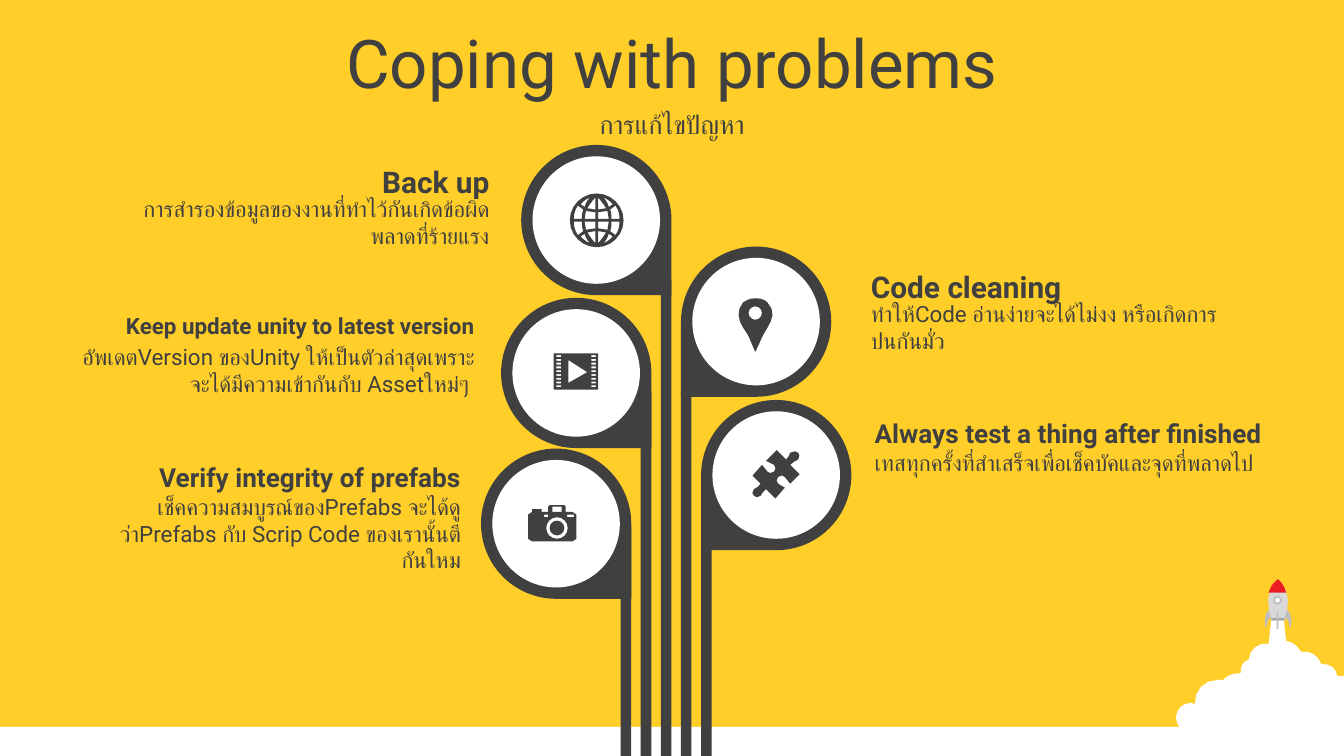
from itertools import product
from math import cos, dist, pi, sin

from pptx import Presentation
from pptx import util as u
from pptx.dml.color import RGBColor
from pptx.enum import shapes, text

DARK, WHITE, YELLOW, GREY = "404040", "FFFFFF", "FFCE29", "BFBFBF"
WIDE, HIGH = 25.4, 14.29
PETAL, DISC, STEM, PITCH = 2.84, 2.41, 0.2, 0.38
FINE = 10  # outline units are 1/100 inch, kept to 1/10 of a unit
KIND = shapes.MSO_SHAPE

# Outlines: "/" parts loops, "," parts segments; 2 numbers are a line, 6 a curve.
CLOUD = """946 459, 955 459, 957 477, 962 478 965 480 968 485,
975 484 981 488 983 494, 990 494 994 497 995 503, 1000 503, 1000 560,
994 560 990 559 986 556, 983 558 981 559 978 559, 975 559 973 557 969 554,
967 558 964 559 960 559, 957 559 954 558 951 555, 945 559 940 561 934 561,
923 561 917 556 913 551, 911 553 907 554 904 553, 900 552 894 550 893 543,
891 545 889 545 886 545, 880 545 875 540 875 534, 875 528 880 523 886 523,
889 524, 889 513 896 506 906 506, 910 506, 914 502 918 501 923 501,
923 495 925 492 929 491, 930 483 936 478 944 479"""
HULL = "946 462, 944 453 940 440 951 431, 962 441 958 454 956 462"
NOSE = "951 431, 954 434 956 437 957 441, 944 441, 945 437 947 434 951 431"
FIN = "944 454, 946 459, 942 461 943 466 942 468, 941 465 940 457 944 454"
PIN = """562 222, 566 222 569 223 571 225, 577 231 575 238 571 244,
567 250 566 254 562 262, 558 253 558 251 553 244, 549 238 548 231 553 225,
556 223 559 222 562 222"""
PUZZLE = """594 337, 595 338 595 340 594 342, 592 344 590 343 588 346, 595 353,
588 360, 585 358 586 356 584 355, 583 353 581 354 579 355,
578 356 577 359 579 360, 581 362 582 361 584 363, 577 371, 570 364,
567 366 568 367 566 369, 564 371 562 370 561 369, 560 368 559 366 561 364,
563 362 565 363 566 360, 560 354, 567 346, 570 348 569 350 571 351,
572 353 574 352 576 351, 577 350 578 347 576 346, 573 344 573 345 570 343,
578 335, 585 342, 588 340 586 339 588 337, 590 335 593 336 594 337"""
CAMERA = """409 376, 420 376, 421 377, 421 381, 426 381, 428 381 429 382 429 383,
429 401, 429 402 428 403 426 403, 396 403, 394 403 393 402 393 401, 393 383,
393 382 394 381 396 381, 396 379, 403 379, 403 381, 408 381, 408 377"""
# One quarter of the globe's gaps, measured from its centre
GAPS = """9 10, 8 13 7 15 5 17, 8 16 10 14 12 12 /
1 8, 1 17, 3 15 5 12 7 9 /
11 1, 11 4 11 6 10 8, 14 11, 16 8 17 5 17 1 /
1 1, 1 6, 8 7, 8 5 9 3 9 1"""

# Left, top and width of the heading, heading size, alignment, words
NOTES = [
    (2.44, 2.97, 7.06, 16, "RIGHT", "Back up",
     "การสำรองข้อมูลของงานที่ทำไว้กันเกิดข้อผิดพลาดที่ร้ายแรง"),
    (1.09, 5.77, 8.13, 12, "RIGHT", "Keep update unity to latest version",
     "อัพเดตVersion ของUnity ให้เป็นตัวล่าสุดเพราะจะได้มีความเข้ากันกับ Assetใหม่ๆ "),
    (1.9, 8.59, 7.06, 14, "RIGHT", "Verify integrity of prefabs",
     "เช็คความสมบูรณ์ของPrefabs จะได้ดูว่าPrefabs กับ Scrip Code ของเรานั้นตีกันใหม"),
    (16.21, 4.95, 7.06, 16, "LEFT", "Code cleaning",
     "ทำให้Code อ่านง่ายจะได้ไม่งง หรือเกิดการปนกันมั่ว"),
    (16.28, 7.77, 8.61, 14, "LEFT", "Always test a thing after finished",
     "เทสทุกครั้งที่สำเสร็จเพื่อเช็คบัคและจุดที่พลาดไป"),
]
# Stem number from the left, petal top, stem top
BRANCHES = [(2, 2.74, 5.28), (1, 5.63, 7.39), (0, 8.48, 9.98),
            (3, 4.66, 7.39), (4, 7.56, 9.98)]


def paint(fill, hue):
    fill.solid()
    fill.fore_color.rgb = RGBColor.from_string(hue)


def finish(shape, hue, rim=None):
    shape.shadow.inherit = False
    paint(shape.fill, hue)
    if rim:
        paint(shape.line.fill, rim)
        shape.line.width = u.Pt(1)
    else:
        shape.line.fill.background()


def block(slide, kind, x, y, w, h, hue, turn=0, rim=None):
    shape = slide.shapes.add_shape(kind, u.Cm(x), u.Cm(y), u.Cm(w), u.Cm(h))
    shape.rotation = turn
    finish(shape, hue, rim)


def read(words):
    """Turn an outline string into loops of points, with curves flattened."""
    loops = []
    for part in words.split("/"):
        loop = []
        for piece in part.split(","):
            nums = [float(n) for n in piece.split()]
            ends = list(zip(nums[::2], nums[1::2]))
            if len(ends) == 1:
                loop += ends
                continue
            knots = [loop[-1]] + ends
            steps = min(4, 1 + int(dist(knots[0], knots[3]) / 4))
            for step in range(1, steps + 1):
                t = step / steps
                mix = ((1 - t) ** 3, 3 * t * (1 - t) ** 2, 3 * t * t * (1 - t), t ** 3)
                loop.append(tuple(sum(m * k[axis] for m, k in zip(mix, knots))
                                  for axis in (0, 1)))
        loops.append(loop)
    return loops


def box(x, y, w, h):
    return [(x, y), (x + w, y), (x + w, y + h), (x, y + h)]


def ring(x, y, r, sides=12):
    turns = [2 * pi * i / sides for i in range(sides)]
    return [(x + r * cos(a), y + r * sin(a)) for a in turns]


def trace(slide, loops, hue):
    loops = [[(x * FINE, y * FINE) for x, y in loop] for loop in loops]
    pen = slide.shapes.build_freeform(*loops[0][0], scale=u.Cm(2.54) / 100 / FINE)
    for i, loop in enumerate(loops):
        if i:
            pen.move_to(*loop[0])
        pen.add_line_segments(loop[1:], close=True)
    finish(pen.convert_to_shape(), hue)


def write(shape, words, size=12, bold=False, align="CENTER", anchor="TOP", fit="NONE"):
    frame = shape.text_frame
    frame.word_wrap = True
    frame.auto_size = getattr(text.MSO_AUTO_SIZE, fit)
    frame.vertical_anchor = getattr(text.MSO_ANCHOR, anchor)
    para = frame.paragraphs[0]
    para.alignment = getattr(text.PP_ALIGN, align)
    para.space_before = u.Pt(0)
    run = para.add_run()
    run.text = words
    run.font.name, run.font.size, run.font.bold = "Roboto", u.Pt(size), bold
    run.font.color.rgb = RGBColor.from_string(DARK)


def banner(holder, y, h, words, size):
    holder.left, holder.top = u.Cm(0), u.Cm(y)
    holder.width, holder.height = u.Cm(WIDE), u.Cm(h)
    write(holder, words, size, anchor="MIDDLE")


def rocket(slide):
    trace(slide, read(CLOUD), WHITE)
    trace(slide, read(HULL), "D9D9D9")
    block(slide, KIND.RECTANGLE, 24.03, 11.68, 0.25, 0.05, "A6A6A6")
    trace(slide, read(NOSE), "ED1C24")
    block(slide, KIND.OVAL, 24.08, 11.28, 0.13, 0.13, WHITE, rim=GREY)
    block(slide, KIND.RECTANGLE, 24.13, 11.56, 0.03, 0.33, GREY)
    fin = read(FIN)
    trace(slide, fin, GREY)
    trace(slide, [[(1902 - x, y) for x, y in loop] for loop in fin], GREY)


def branch(slide, spot, top, start):
    stem = 11.73 + PITCH * spot
    left = spot < 3
    x = stem + STEM - PETAL if left else stem
    gap = (PETAL - DISC) / 2
    block(slide, KIND.TEAR, x, top, PETAL, PETAL, DARK, turn=90 if left else 180)
    block(slide, KIND.OVAL, x + gap, top + gap, DISC, DISC, WHITE)
    block(slide, KIND.RECTANGLE, stem, start, STEM, HIGH - start, DARK)


def icons(slide):
    globe = [ring(444, 164, 20, 24)]
    for (a, b), loop in product(product((1, -1), repeat=2), read(GAPS)):
        globe.append([(444 + a * x, 164 + b * y) for x, y in loop])
    film = [box(412, 263, 33, 27), [(423, 268), (423, 285), (437, 277)]]
    film += [box(x, 264.4 + 2.8 * i, 3.5, 1.4) for x in (414, 440) for i in range(9)]
    camera = read(CAMERA) + [ring(414.5, 393, 8, 16), ring(414.5, 393, 5.5),
                             box(405, 383, 3, 2), box(422, 383, 5, 2), box(411, 377, 7, 4)]
    pin = read(PIN) + [ring(562, 233, 5)]
    for loops in (globe, film, pin, read(PUZZLE), camera):
        trace(slide, loops, DARK)


def note(slide, x, y, w, size, align, head, body):
    for top, words, points, bold in ((y + 0.6, body, 12, False), (y, head, size, True)):
        area = slide.shapes.add_textbox(u.Cm(x), u.Cm(top), u.Cm(w), u.Cm(0.9))
        write(area, words, points, bold, align, fit="SHAPE_TO_FIT_TEXT")


def main():
    deck = Presentation()
    deck.slide_width, deck.slide_height = u.Cm(WIDE), u.Cm(HIGH)
    slide = deck.slides.add_slide(deck.slide_layouts[0])
    paint(slide.background.fill, YELLOW)
    block(slide, KIND.RECTANGLE, 0, 13.74, WIDE, HIGH - 13.74, WHITE)
    rocket(slide)
    title, under = slide.placeholders
    banner(title, 0.36, 1.6, "Coping with problems", 36)
    banner(under, 1.96, 0.78, "การแก้ไขปัญหา", 14)
    for item in BRANCHES:
        branch(slide, *item)
    icons(slide)
    for item in NOTES:
        note(slide, *item)
    deck.save("out.pptx")


if __name__ == "__main__":
    main()
